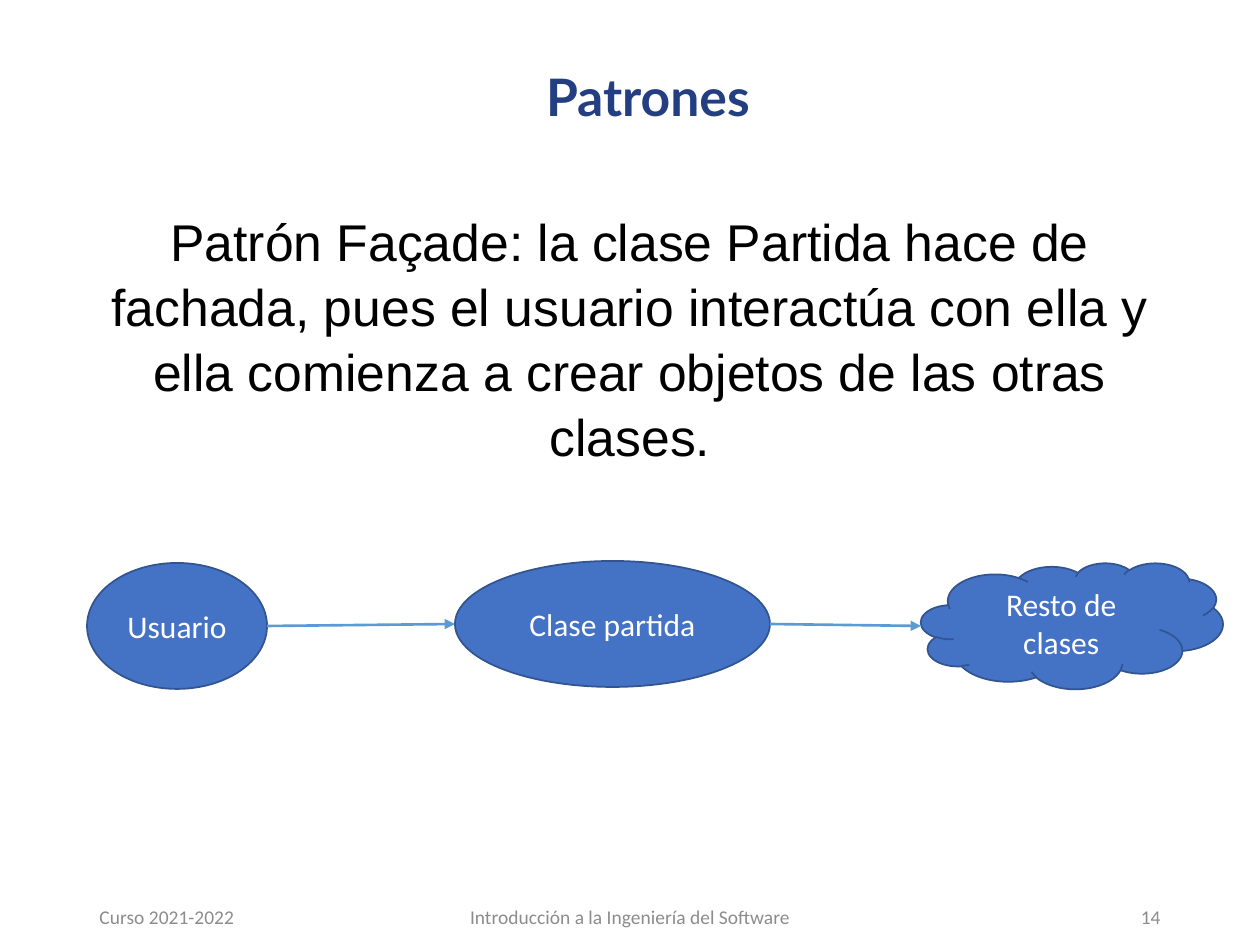
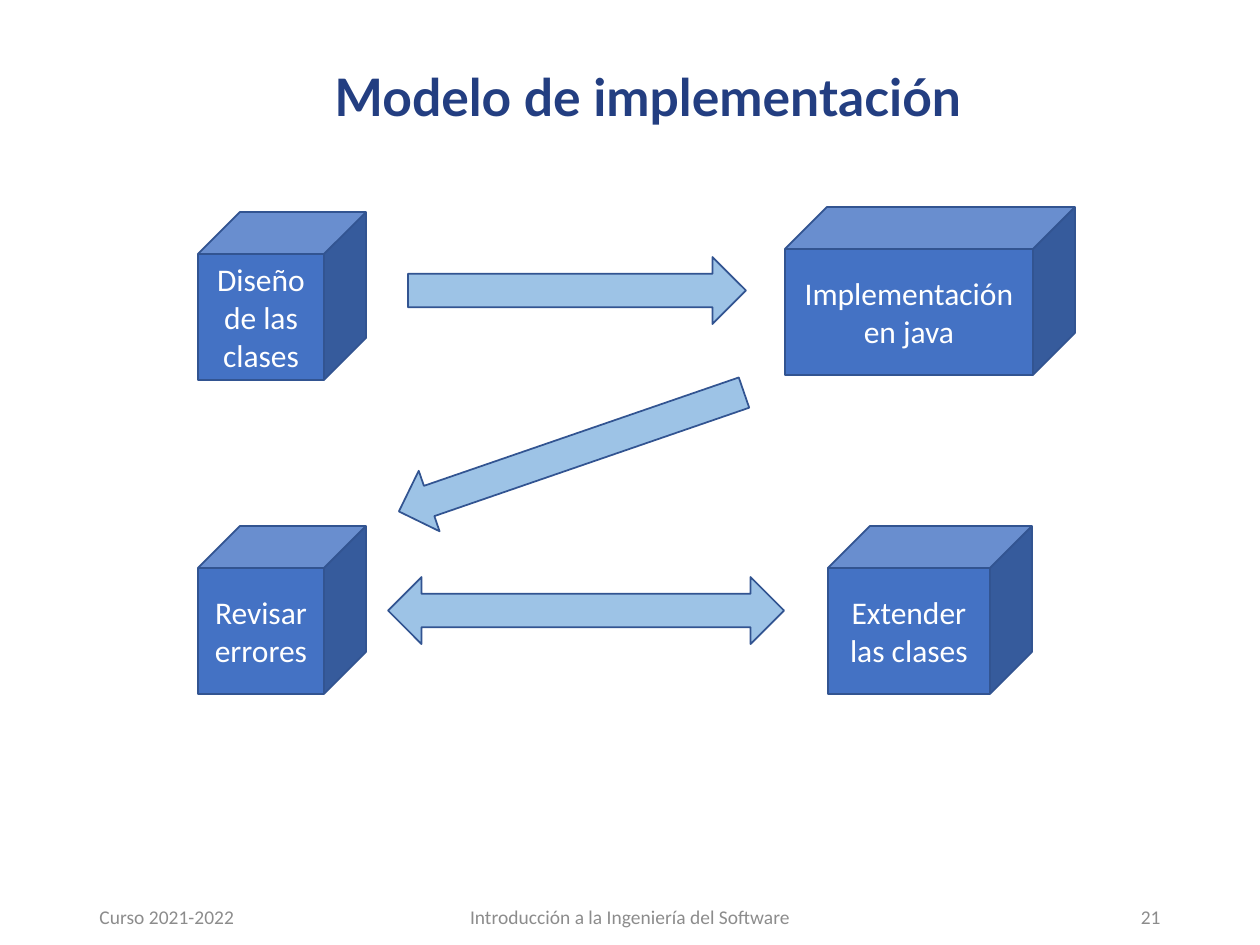
import pptx
import pptx.util
import pptx.dml.color
import pptx.enum.shapes
import pptx.enum.text
import lxml.etree
from pptx.oxml.ns import qn

SHAPE = pptx.enum.shapes.MSO_SHAPE
ALIGN = pptx.enum.text.PP_ALIGN
ANCHOR = pptx.enum.text.MSO_ANCHOR

# Shared look
NAVY, BLUE, EDGE = "233E81", "4472C4", "325491"
PALE, LINK, GREY = "9DC3E6", "5B9BD5", "8C8C8C"
WIDE, HIGH = 1260, 945


def px(n):
    return pptx.util.Emu(round(n * 914400 / 126))


def tint(code):
    return pptx.dml.color.RGBColor.from_string(code)


def write(shape, text, size=18, font="Calibri", color="FFFFFF", bold=False,
          align=ALIGN.CENTER, anchor=ANCHOR.MIDDLE, lead=None, gap=None):
    frame = shape.text_frame
    frame.word_wrap = True
    frame.vertical_anchor = anchor
    para = frame.paragraphs[0]
    para.alignment = align
    if lead:
        para.line_spacing = lead
    if gap:
        para.space_before = para.space_after = pptx.util.Pt(gap)
    run = para.add_run()
    run.text = text
    run.font.size = pptx.util.Pt(size)
    run.font.name = font
    run.font.bold = bold
    run.font.color.rgb = tint(color)


def label(slide, box, text, **style):
    shape = slide.shapes.add_textbox(*map(px, box))
    write(shape, text, **style)
    return shape


def block(slide, kind, box, text=None, fill=BLUE, turn=0):
    shape = slide.shapes.add_shape(kind, *map(px, box))
    shape.shadow.inherit = False
    shape.fill.solid()
    shape.fill.fore_color.rgb = tint(fill)
    shape.line.color.rgb = tint(EDGE)
    shape.line.width = pptx.util.Pt(1)
    shape.rotation = turn
    if text:
        write(shape, text)
    return shape


def link(slide, start, end):
    """Arrow from the right side of one box to the left side of the next."""
    ends = (start[0] + start[2], start[1] + start[3] / 2,
            end[0], end[1] + end[3] / 2)
    line = slide.shapes.add_connector(
        pptx.enum.shapes.MSO_CONNECTOR.STRAIGHT, *map(px, ends))
    line.line.color.rgb = tint(LINK)
    line.line.width = pptx.util.Pt(1.5)
    props = line._element.spPr
    tail = lxml.etree.SubElement(props.find(qn("a:ln")), qn("a:tailEnd"))
    tail.set("type", "triangle")
    lxml.etree.SubElement(props, qn("a:effectLst"))


def footer(slide, box, page):
    x, y, w, h = box
    side, mid = 284, 426
    parts = [
        (x, side, "Curso 2021-2022", ALIGN.LEFT),
        (x + (w - mid) // 2, mid, "Introducción a la Ingeniería del Software",
         ALIGN.CENTER),
        (x + w - side, side, str(page), ALIGN.RIGHT),
    ]
    for left, width, text, align in parts:
        label(slide, (left, y, width, h), text, size=11.1, color=GREY,
              align=align)


def base(deck, title, page):
    slide = deck.slides.add_slide(deck.slide_layouts[6])
    label(slide, (151, 8, 994, 183), title, size=29.5, font="Lato",
          color=NAVY, bold=True, lead=0.9)
    footer(slide, (87, 892, 1086, 50), page)
    return slide


def body(slide, box, text):
    shape = label(slide, box, text, size=29.5, font="Arial", color="000000",
                  anchor=ANCHOR.TOP, lead=1.05, gap=5.5)
    shape.text_frame.margin_top = 0


def chain(slide, box):
    """User, facade and remaining classes in a row."""
    x, y, w, h = box
    nodes = [
        (SHAPE.OVAL, (x, y + 2, 180, h), "Usuario"),
        (SHAPE.OVAL, (x + 368, y, 315, h), "Clase partida"),
        (SHAPE.CLOUD, (x + w - 302, y + 2, 302, h), "Resto de clases"),
    ]
    for kind, spot, text in nodes:
        block(slide, kind, spot, text)
    for start, end in zip(nodes, nodes[1:]):
        link(slide, start[1], end[1])


def cycle(slide, box):
    """Four cubes joined by block arrows."""
    x, y, w, h = box
    side = 168
    low = y + h - side
    cubes = [
        (x, y + 5, side, "Diseño de las clases"),
        (x + w - 290, y, 290, "Implementación en java"),
        (x, low, side, "Revisar errores"),
        (x + 630, low, 204, "Extender las clases"),
    ]
    for left, top, width, text in cubes:
        block(slide, SHAPE.CUBE, (left, top, width, side), text)
    arrows = [
        (SHAPE.RIGHT_ARROW, (x + 210, y + 50, 338, 67), 0),
        (SHAPE.LEFT_ARROW, (x + 191, y + 213, 365, 64), 341),
        (SHAPE.LEFT_RIGHT_ARROW, (x + 190, low + 51, 396, 67), 0),
    ]
    for kind, spot, turn in arrows:
        block(slide, kind, spot, fill=PALE, turn=turn)


def main():
    deck = pptx.Presentation()
    deck.slide_width, deck.slide_height = px(WIDE), px(HIGH)

    # Facade pattern
    slide = base(deck, "Patrones", 14)
    body(slide, (87, 207, 1086, 658),
         "Patrón Façade: la clase Partida hace de fachada, pues el usuario "
         "interactúa con ella y ella comienza a crear objetos de las otras "
         "clases.")
    chain(slide, (87, 561, 1136, 126))

    # Implementation model
    slide = base(deck, "Modelo de implementación", 21)
    cycle(slide, (198, 207, 877, 487))

    deck.save("out.pptx")


if __name__ == "__main__":
    main()
